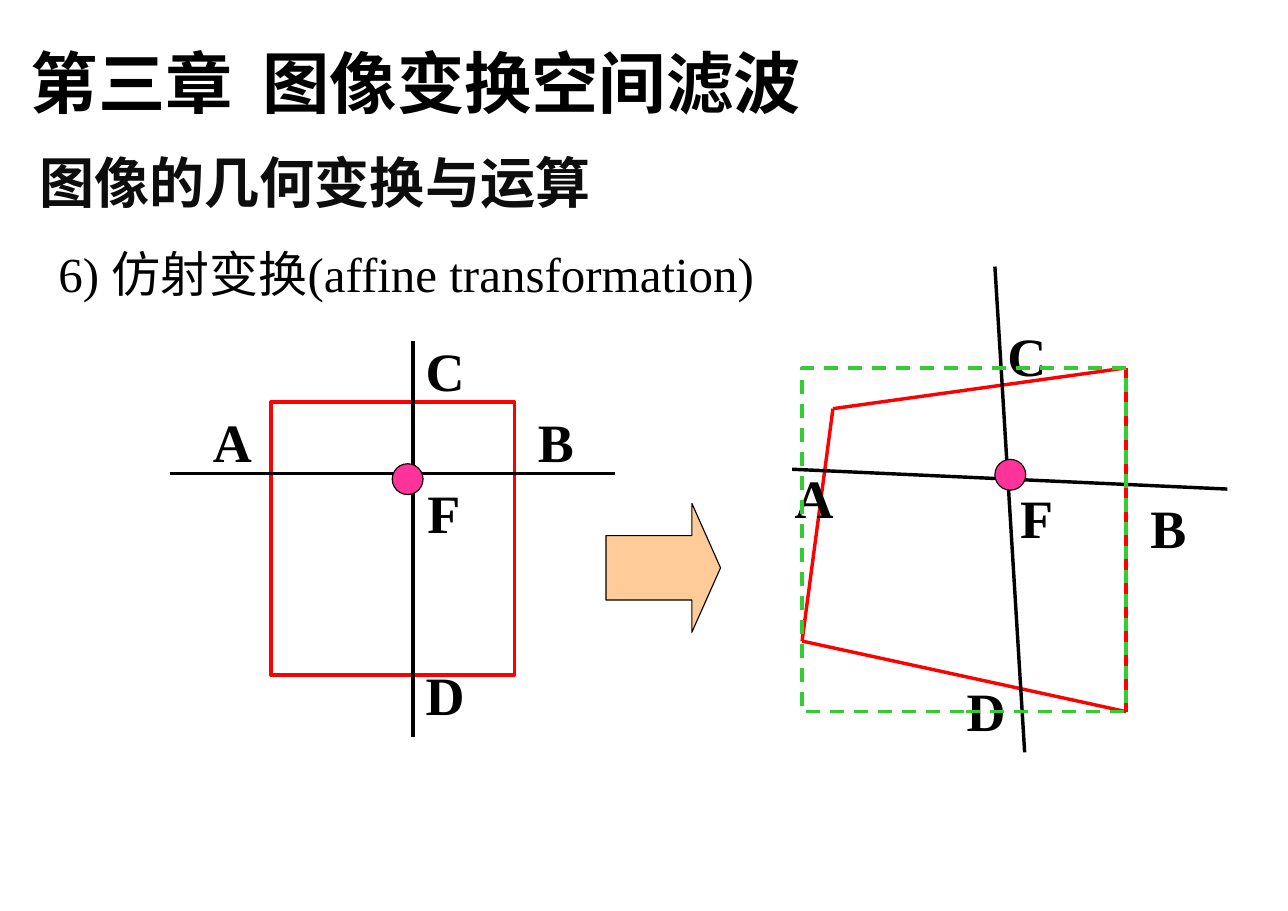
from itertools import pairwise

from lxml.etree import SubElement
from pptx import Presentation
from pptx.dml.color import RGBColor
from pptx.enum.dml import MSO_LINE
from pptx.enum.shapes import MSO_CONNECTOR, MSO_SHAPE
from pptx.enum.text import MSO_ANCHOR, MSO_AUTO_SIZE, PP_ALIGN
from pptx.oxml.ns import qn
from pptx.util import Pt

PX = 9144
BLACK = RGBColor(0x00, 0x00, 0x00)
NEAR_BLACK = RGBColor(0x0D, 0x0D, 0x0D)
RED = RGBColor(0xFF, 0x00, 0x00)
GREEN = RGBColor(0x33, 0xCC, 0x33)
PEACH = RGBColor(0xFF, 0xCC, 0x99)
PINK = RGBColor(0xFF, 0x33, 0x99)
SERIF = "Times New Roman"

prs = Presentation()
prs.slide_width, prs.slide_height = 1169 * PX, 827 * PX
slide = prs.slides.add_slide(prs.slide_layouts[1])
shapes = slide.shapes


def draw_line(start, end, color):
    line = shapes.add_connector(MSO_CONNECTOR.STRAIGHT, *[v * PX for v in start + end])
    line.line.color.rgb = color
    line.line.width = Pt(2.25)
    SubElement(line._element.spPr, qn("a:effectLst"))


def draw_shape(kind, box, outline, width, fill=None):
    shape = shapes.add_shape(kind, *[v * PX for v in box])
    shape.shadow.inherit = False
    shape.line.color.rgb = outline
    shape.line.width = Pt(width)
    if fill is None:
        shape.fill.background()
    else:
        shape.fill.solid()
        shape.fill.fore_color.rgb = fill
    return shape


chapter = shapes.title
section = shapes.add_textbox(26 * PX, 130 * PX, 697 * PX, 71 * PX)
topic = slide.placeholders[1]
headings = [
    (chapter, (18, -4, 1061, 120), "第三章  图像变换空间滤波", 44, SERIF, True, BLACK),
    (section, (26, 130, 697, 71), "图像的几何变换与运算", 36, "Arial", True, NEAR_BLACK),
    (topic, (43, 216, 948, 329), "6) 仿射变换(affine transformation)", 32, SERIF, False, BLACK),
]
for heading, box, words, size, face, bold, color in headings:
    heading.left, heading.top, heading.width, heading.height = [v * PX for v in box]
    frame = heading.text_frame
    frame.text = words
    frame.word_wrap = True
    frame.auto_size = MSO_AUTO_SIZE.NONE
    frame.vertical_anchor = MSO_ANCHOR.TOP
    paragraph = frame.paragraphs[0]
    paragraph.alignment = PP_ALIGN.LEFT
    paragraph.space_before = Pt(0)
    font = paragraph.runs[0].font
    font.size, font.name, font.bold = Pt(size), face, bold
    font.color.rgb = color

chapter_line = chapter.text_frame.paragraphs[0]
chapter_line.line_spacing = 1.5
chapter_line.runs[0].font._element.set("spc", "-10")

topic_format = topic.text_frame.paragraphs[0]._p.get_or_add_pPr()
topic_format.set("marL", str(38 * PX))
topic_format.set("indent", str(-38 * PX))
SubElement(topic_format, qn("a:buNone"))

warped_corners = [(728, 582), (756, 371), (1022, 334), (1022, 646)]
for start, end in pairwise(warped_corners + warped_corners[:1]):
    draw_line(start, end, RED)
draw_shape(MSO_SHAPE.RECTANGLE, (246, 365, 221, 248), RED, 2.25)

axes = [
    ((154, 430), (558, 430)),
    ((375, 310), (375, 669)),
    ((719, 426), (1114, 444)),
    ((903, 242), (930, 683)),
]
for start, end in axes:
    draw_line(start, end, BLACK)

label_widths = {"A": 56, "B": 53, "C": 56, "D": 56, "F": 50}
square_labels = {"F": (378, 430), "D": (376, 595), "C": (376, 301), "B": (478, 366), "A": (183, 366)}
warped_labels = {"F": (916, 435), "D": (867, 610), "C": (904, 288), "B": (1034, 444), "A": (711, 417)}
for labels in (square_labels, warped_labels):
    for letter, (left, top) in labels.items():
        label = shapes.add_textbox(left * PX, top * PX, label_widths[letter] * PX, 69 * PX)
        frame = label.text_frame
        frame.text = letter
        frame.word_wrap = False
        frame.auto_size = MSO_AUTO_SIZE.SHAPE_TO_FIT_TEXT
        frame.vertical_anchor = MSO_ANCHOR.MIDDLE
        paragraph = frame.paragraphs[0]
        paragraph.alignment = PP_ALIGN.CENTER
        font = paragraph.runs[0].font
        font.size, font.name, font.bold = Pt(35.3), SERIF, True
        font.color.rgb = BLACK

transform_arrow = draw_shape(MSO_SHAPE.RIGHT_ARROW, (550, 457, 104, 117), BLACK, 0.75, PEACH)
transform_arrow.adjustments[0] = 0.5
transform_arrow.adjustments[1] = 0.25

for left, top in [(356, 421), (903, 417)]:
    draw_shape(MSO_SHAPE.OVAL, (left, top, 28, 28), BLACK, 0.75, PINK)

bounds = draw_shape(MSO_SHAPE.RECTANGLE, (728, 334, 294, 312), GREEN, 2.25)
bounds.line.dash_style = MSO_LINE.DASH

prs.save("out.pptx")
